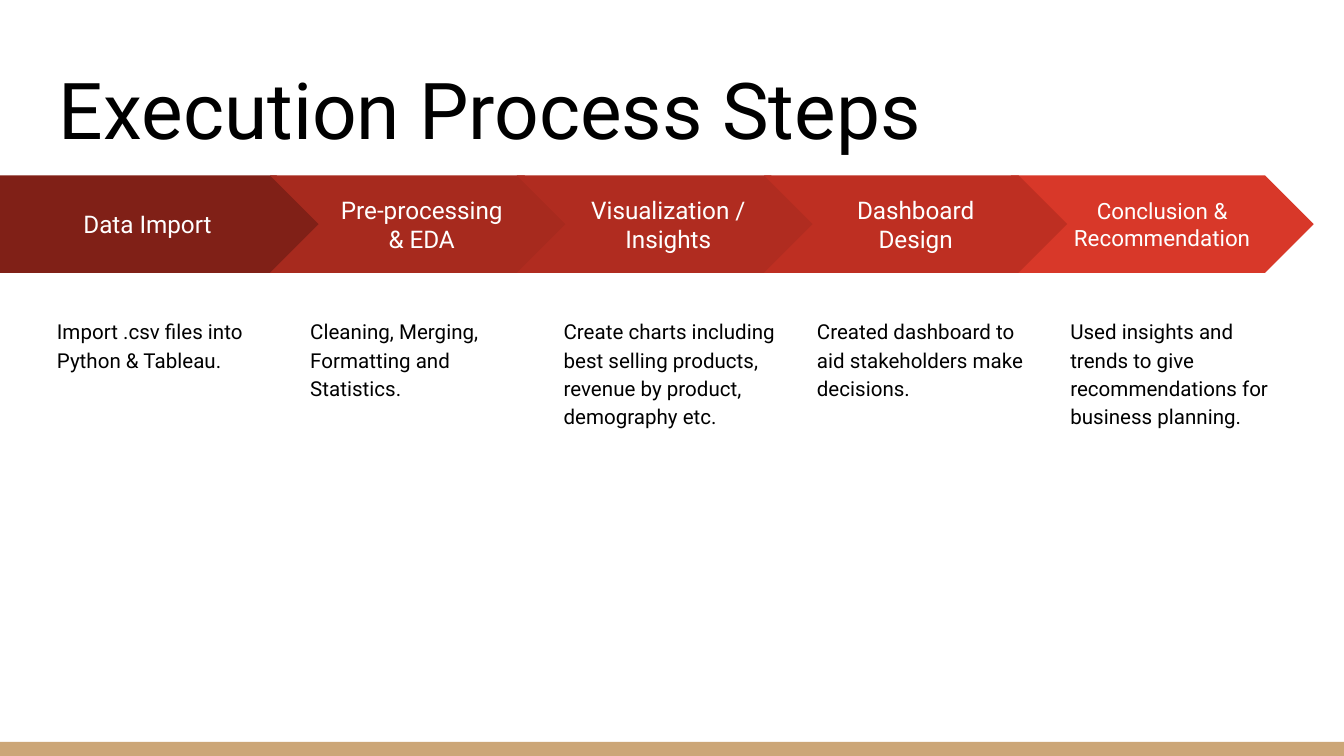
from dataclasses import dataclass

from pptx import Presentation
from pptx import util as u
from pptx.dml.color import RGBColor
from pptx.enum import shapes, text

EMU_PER_PX = 4572
CENTER = text.PP_ALIGN.CENTER
TOP = text.MSO_ANCHOR.TOP
MIDDLE = text.MSO_ANCHOR.MIDDLE
BOTTOM = text.MSO_ANCHOR.BOTTOM


@dataclass(frozen=True)
class Theme:
    font: str = "Roboto"
    ink: str = "000000"
    arrow_ink: str = "FFFFFF"
    footer: str = "CCA677"
    title_size: int = 42
    body_size: int = 11
    label_size: int = 13
    long_label_size: int = 12


@dataclass(frozen=True)
class Step:
    label: str
    description: str
    fill: str
    size: int = Theme.label_size


THEME = Theme()
STEPS = [
    Step("Data Import ", "Import .csv files into Python & Tableau.", "802017"),
    Step("Pre-processing & EDA", "Cleaning, Merging, Formatting and Statistics.", "A72A1E"),
    Step("Visualization /\nInsights",
         "Create charts including best selling products, revenue by product, demography etc.",
         "B02C20"),
    Step("Dashboard Design", "Created dashboard to aid stakeholders make decisions.", "BE2F22"),
    Step("Conclusion & Recommendation",
         "Used insights and trends to give recommendations for business planning.",
         "D83829", THEME.long_label_size),
]
DRAW_ORDER = [0, 1, 2, 4, 3]


def px(length):
    return u.Emu(length * EMU_PER_PX)


def write(shape, content, size, color, align=None, anchor=TOP, spacing=None):
    frame = shape.text_frame
    frame.word_wrap = True
    frame.vertical_anchor = anchor
    frame.margin_left = frame.margin_right = px(20)
    frame.margin_top = frame.margin_bottom = px(20)
    frame.text = content
    for paragraph in frame.paragraphs:
        paragraph.alignment = align
        paragraph.line_spacing = spacing
        for run in paragraph.runs:
            run.font.name = THEME.font
            run.font.size = u.Pt(size)
            run.font.color.rgb = RGBColor.from_string(color)


def add_block(parent, kind, box, fill):
    shape = parent.shapes.add_shape(kind, *map(px, box))
    shape.shadow.inherit = False
    shape.fill.solid()
    shape.fill.fore_color.rgb = RGBColor.from_string(fill)
    shape.line.fill.background()
    return shape


def add_text(parent, box, content, size, **layout):
    shape = parent.shapes.add_textbox(*map(px, box))
    write(shape, content, size, THEME.ink, **layout)


def add_step(slide, index):
    step = STEPS[index]
    group = slide.shapes.add_group_shape()
    if index == 0:
        kind, box = shapes.MSO_SHAPE.PENTAGON, (0, 261, 484, 145)
    else:
        left = 402 + round((index - 1) * 1102 / 3)
        kind, box = shapes.MSO_SHAPE.CHEVRON, (left, 261, 451, 145)
    arrow = add_block(group, kind, box, step.fill)
    arrow.adjustments[0] = 0.5
    write(arrow, step.label, step.size, THEME.arrow_ink, CENTER, MIDDLE)
    add_text(group, (65 + index * 377, 450, 356, 514), step.description,
             THEME.body_size, spacing=1.15)


def main():
    presentation = Presentation()
    presentation.slide_width, presentation.slide_height = px(2000), px(1125)
    slide = presentation.slides.add_slide(presentation.slide_layouts[6])
    add_block(slide, shapes.MSO_SHAPE.RECTANGLE, (0, 1104, 2000, 21), THEME.footer)
    add_text(slide, (68, 69, 1864, 182), "Execution Process Steps",
             THEME.title_size, anchor=BOTTOM)
    for index in DRAW_ORDER:
        add_step(slide, index)
    presentation.save("out.pptx")


if __name__ == "__main__":
    main()
